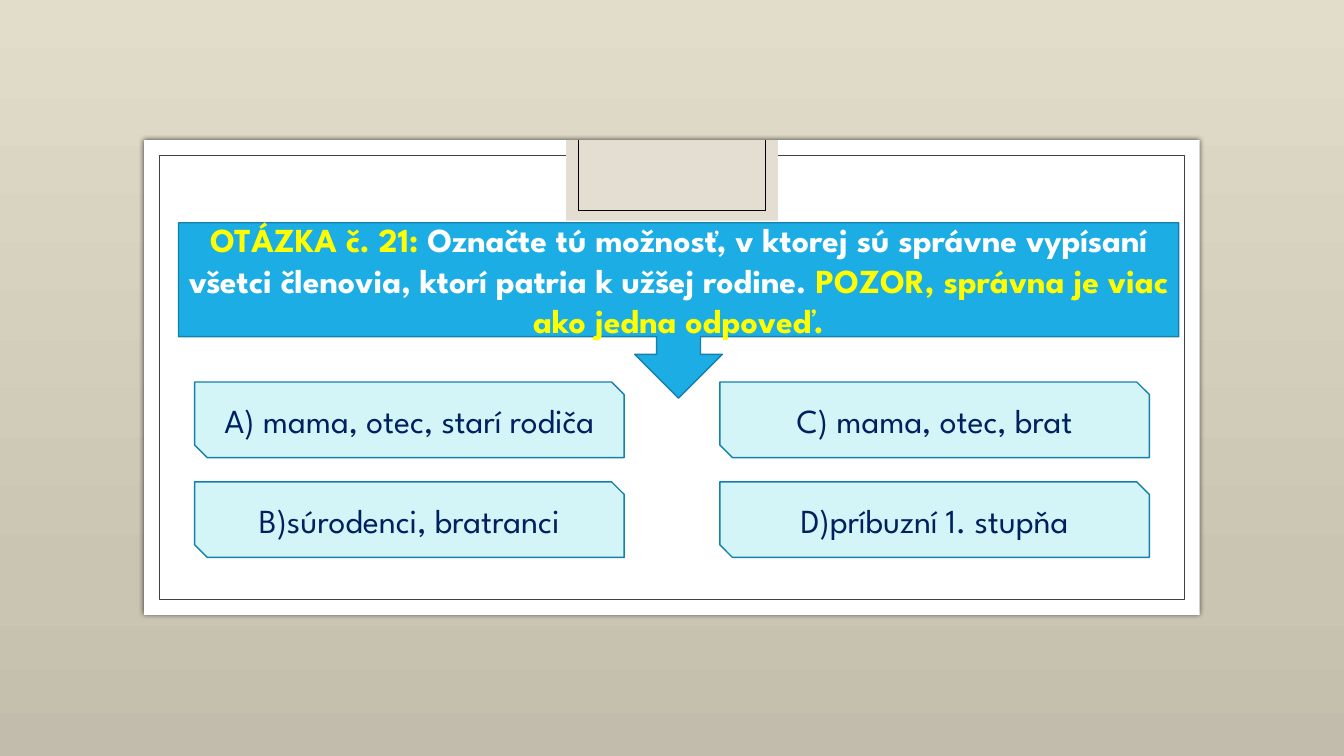
from copy import deepcopy
from itertools import product
from lxml import etree
from pptx import Presentation
from pptx.dml.color import RGBColor as RGB
from pptx.enum.shapes import MSO_CONNECTOR as Link, MSO_SHAPE as Kind
from pptx.enum.text import MSO_ANCHOR as Anchor, PP_ALIGN as Align
from pptx.oxml.ns import qn
from pptx.util import Inches, Pt

HUES = {
    "top": "E2DCCA", "mid": "CAC4B2", "low": "C2BCAC",
    "card": "FFFFFF", "frame": "404040", "tab": "E3DED1", "rim": "000000",
    "call": "1CADE4", "edge": "1580A9", "reply": "D4F5F7",
    "navy": "002060", "white": "FFFFFF", "gold": "FFFF00",
}
FONT = "League Spartan"
WIDE, HIGH = Inches(13.33), Inches(7.5)

# Boxes: left, top, width, height in percent of the slide
CARD = (10.73, 18.53, 78.54, 62.8)
ASK = (13.28, 29.47, 74.42, 23.2)
GRID = (14.48, 50.53, 71.04, 23.2)

QUERY = [
    ("OTÁZKA č. 21: ", "gold"),
    ("Označte tú možnosť, v ktorej sú správne vypísaní všetci členovia, "
     "ktorí patria k užšej rodine. ", "white"),
    ("POZOR, správna je viac ako jedna odpoveď.", "gold"),
]
REPLIES = [
    "A) mama, otec, starí rodiča", "B)súrodenci, bratranci",
    "C) mama, otec, brat", "D)príbuzní 1. stupňa",
]


def hue(name):
    return RGB.from_string(HUES[name])


def scale(x, y):
    return round(WIDE * x / 100), round(HIGH * y / 100)


def block(slide, kind, box, fill=None, line=None, width=1):
    shape = slide.shapes.add_shape(kind, *scale(*box[:2]), *scale(*box[2:]))
    shape.shadow.inherit = False
    if fill:
        shape.fill.solid()
        shape.fill.fore_color.rgb = hue(fill)
    else:
        shape.fill.background()
    if line:
        shape.line.color.rgb = hue(line)
        shape.line.width = Pt(width)
    else:
        shape.line.fill.background()
    return shape


def rule(slide, start, end):
    line = slide.shapes.add_connector(Link.STRAIGHT, *scale(*start), *scale(*end))
    line.line.color.rgb = hue("rim")
    line.line.width = Pt(0.5)
    etree.SubElement(line._element.spPr, qn("a:effectLst"))


def write(shape, runs, bold=False):
    frame = shape.text_frame
    frame.word_wrap = True
    frame.vertical_anchor = Anchor.MIDDLE
    para = frame.paragraphs[0]
    para.alignment = Align.CENTER
    para.font.name, para.font.size, para.font.bold = FONT, Pt(24), bold
    for text, color in runs:
        run = para.add_run()
        run.text = text
        run.font.color.rgb = hue(color)


def paint(slide):
    # Three-stop vertical gradient
    fill = slide.background.fill
    fill.gradient()
    fill.gradient_angle = 270
    first = slide._element.find(".//" + qn("a:gs"))
    first.addnext(deepcopy(first))
    stops = [("top", 0), ("mid", 0.77), ("low", 1)]
    for stop, (name, pos) in zip(fill.gradient_stops, stops):
        stop.color.rgb = hue(name)
        stop.position = pos


def card(slide, box):
    x, y, w, h = box
    # Sheet with a soft shadow
    sheet = block(slide, Kind.RECTANGLE, box, "card")
    glow = etree.SubElement(sheet._element.spPr.find(qn("a:effectLst")),
                            qn("a:outerShdw"), blurRad=str(Pt(4)), dist="0",
                            dir="0", algn="ctr", rotWithShape="0")
    tint = etree.SubElement(glow, qn("a:srgbClr"), val=HUES["rim"])
    etree.SubElement(tint, qn("a:alpha"), val="66000")
    # Thin inner frame
    block(slide, Kind.RECTANGLE, (x + 1.13, y + 2, w - 2.26, h - 4),
          line="frame", width=0.5)
    # Tab at the top centre, ruled on three sides
    mid, half = x + w / 2, 6.94
    block(slide, Kind.RECTANGLE, (mid - 7.87, y, 15.75, 10.67), "tab")
    left, right, foot = mid - half, mid + half, y + 9.33
    rule(slide, (left, y), (left, foot))
    rule(slide, (right, y), (right, foot))
    rule(slide, (left, foot), (right, foot))


def ask(slide, box):
    shape = block(slide, Kind.DOWN_ARROW_CALLOUT, box, "call", "edge")
    write(shape, QUERY, bold=True)


def replies(slide, box, gap=(7.12, 3.2)):
    # Two by two, filled column by column
    x, y, w, h = box
    wide, high = (w - gap[0]) / 2, (h - gap[1]) / 2
    for (col, row), text in zip(product(range(2), repeat=2), REPLIES):
        cell = (x + col * (wide + gap[0]), y + row * (high + gap[1]), wide, high)
        shape = block(slide, Kind.SNIP_2_DIAG_RECTANGLE, cell, "reply", "edge")
        write(shape, [(text, "navy")])


def main():
    deck = Presentation()
    deck.slide_width, deck.slide_height = WIDE, HIGH
    slide = deck.slides.add_slide(deck.slide_layouts[6])
    paint(slide)
    card(slide, CARD)
    ask(slide, ASK)
    replies(slide, GRID)
    deck.save("out.pptx")


if __name__ == "__main__":
    main()
